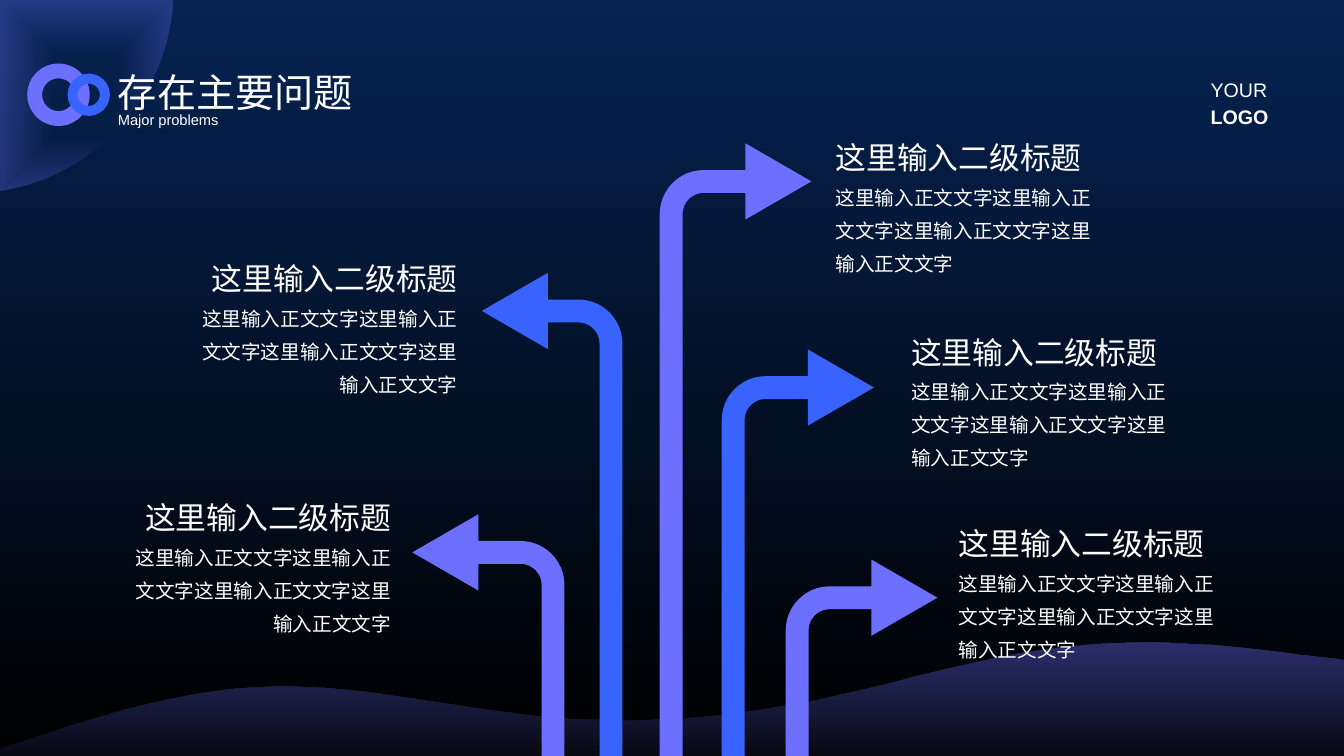
import math

import lxml.etree
import pptx
import pptx.dml.color
import pptx.enum.shapes
import pptx.enum.text
import pptx.oxml.ns
import pptx.util

# The slide is a grid of 133.33 columns by 75 rows, each cell a tenth of an inch.
COLUMNS, ROWS = 133.33, 75
PURPLE, BLUE, WHITE = "6C6FFF", "3863FF", "FFFFFF"
HEADING = "这里输入二级标题"
BODY = "这里输入正文文字" * 4
LEFT, RIGHT = -1, 1


def cells(count):
    return pptx.util.Inches(count / 10)


def color(hex_value):
    return pptx.dml.color.RGBColor.from_string(hex_value)


def fill_solid(shape, hex_value):
    shape.fill.solid()
    shape.fill.fore_color.rgb = color(hex_value)
    shape.line.fill.background()
    shape.shadow.inherit = False


def fill_gradient(fill, stops):
    """Fill from top to bottom with two (position, colour, opacity) stops."""
    fill.gradient()
    fill.gradient_angle = 270
    for stop, (position, hex_value, opacity) in zip(fill.gradient_stops, stops):
        stop.position = position
        stop.color.rgb = color(hex_value)
    return [opacity for _, _, opacity in stops]


def fill_translucent(shape, stops):
    """Give a shape a gradient with opacity; return the gradient element."""
    opacities = fill_gradient(shape.fill, stops)
    shape.line.fill.background()
    shape.shadow.inherit = False
    gradient = shape.element.spPr.find(pptx.oxml.ns.qn("a:gradFill"))
    for stop_color, opacity in zip(gradient.iter(pptx.oxml.ns.qn("a:srgbClr")), opacities):
        alpha = lxml.etree.SubElement(stop_color, pptx.oxml.ns.qn("a:alpha"))
        alpha.set("val", str(int(opacity * 100000)))
    return gradient


def radiate_from_centre(gradient):
    gradient.remove(gradient.find(pptx.oxml.ns.qn("a:lin")))
    route = lxml.etree.SubElement(gradient, pptx.oxml.ns.qn("a:path"), path="shape")
    focus = lxml.etree.SubElement(route, pptx.oxml.ns.qn("a:fillToRect"))
    for side in "ltrb":
        focus.set(side, "50000")


def curve(start, control_1, control_2, end, steps=16):
    """Points along a cubic curve, without its start."""
    points = []
    for step in range(1, steps + 1):
        t = step / steps
        weights = ((1 - t) ** 3, 3 * t * (1 - t) ** 2, 3 * t * t * (1 - t), t ** 3)
        knots = (start, control_1, control_2, end)
        points.append(tuple(sum(w * knot[axis] for w, knot in zip(weights, knots))
                            for axis in (0, 1)))
    return points


def add_outline(shapes, points):
    corners = [(cells(x), cells(y)) for x, y in points]
    builder = shapes.build_freeform(*corners[0], scale=1.0)
    builder.add_line_segments(corners[1:], close=True)
    return builder.convert_to_shape()


def add_corner(shapes):
    start = (17.1, 1)
    points = [(0, 0), (17.1, 0), start]
    points += curve(start, (16.2, 9.8), (9.6, 17), (1.1, 18.7)) + [(0, 18.9)]
    corner = add_outline(shapes, points)
    radiate_from_centre(fill_translucent(corner, [(0.39, PURPLE, 0), (1, PURPLE, 0.31)]))
    return corner


def add_wave(shapes):
    points = [(COLUMNS, 65.5), (128.9, 65)]
    for span in (
        ((124.4, 64.4), (115.6, 63.2), (106.7, 64.1)),
        ((97.8, 64.9), (88.9, 67.9), (80, 69.6)),
        ((71.1, 71.3), (62.2, 71.9), (53.3, 71)),
        ((44.4, 70.1), (35.6, 67.9), (26.7, 68.1)),
        ((17.8, 68.4), (8.9, 71.3), (4.4, 72.8)),
    ):
        points += curve(points[-1], *span)
    points += [(0, 74.2), (0, 77.7), (COLUMNS, 77.7)]
    fill_translucent(add_outline(shapes, points), [(0, PURPLE, 0.4), (1, PURPLE, 0)])


def add_bent_arrow(shapes, direction, stem, tip, middle, hex_value):
    """Arrow rising from below the slide and turning left or right at row middle."""
    head_length, head_half, bar_half = 6.55, 3.78, 1.13
    outer, inner, bottom = 4.37, 2.1, 84
    neck = tip - direction * head_length
    centre_x, centre_y = stem + direction * outer, middle - bar_half + outer

    def bend(radius):
        angles = [math.radians(90 * step / 12) for step in range(13)]
        return [(centre_x - direction * radius * math.sin(angle),
                 centre_y - radius * math.cos(angle)) for angle in angles]

    points = [(neck, middle - head_half), (tip, middle), (neck, middle + head_half),
              (neck, middle + bar_half)]
    points += bend(inner)
    points += [(stem + direction * (outer - inner), bottom), (stem, bottom)]
    points += bend(outer)[::-1] + [(neck, middle - bar_half)]
    fill_solid(add_outline(shapes, points), hex_value)


def add_ring(shapes, left, top, size, hex_value):
    ring = shapes.add_shape(pptx.enum.shapes.MSO_SHAPE.DONUT,
                            cells(left), cells(top), cells(size), cells(size))
    ring.adjustments[0] = 0.237
    fill_solid(ring, hex_value)


def format_text(shape, text, size, align=pptx.enum.text.PP_ALIGN.LEFT,
                anchor=pptx.enum.text.MSO_ANCHOR.TOP, spacing=None):
    frame = shape.text_frame
    frame.text = text
    frame.word_wrap = True
    frame.auto_size = pptx.enum.text.MSO_AUTO_SIZE.SHAPE_TO_FIT_TEXT
    frame.vertical_anchor = anchor
    frame.margin_left = frame.margin_right = frame.margin_top = frame.margin_bottom = 0
    for paragraph in frame.paragraphs:
        paragraph.alignment = align
        paragraph.line_spacing = spacing
        for run in paragraph.runs:
            run.font.name = "Arial"
            run.font.size = pptx.util.Pt(size)
            run.font.color.rgb = color(WHITE)


def add_text(shapes, left, top, width, height, text, size, **style):
    box = shapes.add_textbox(cells(left), cells(top), cells(width), cells(height))
    format_text(box, text, size, **style)
    return box


def add_problem(shapes, direction, edge, top):
    """Heading and body that share the edge facing their arrow."""
    align = pptx.enum.text.PP_ALIGN.LEFT
    heading_width, body_width = 33.3, 25.7
    if direction == LEFT:
        align = pptx.enum.text.PP_ALIGN.RIGHT
        heading_width, body_width = 34.4, 26.3
    for text, size, width, offset, height, spacing in (
        (HEADING, 22, heading_width, 0, 3.7, None),
        (BODY, 14, body_width, 3.7, 9.9, 1.4),
    ):
        left = edge if direction == RIGHT else edge - width
        add_text(shapes, left, top + offset, width, height, text, size,
                 align=align, spacing=spacing)


def main():
    presentation = pptx.Presentation()
    presentation.slide_width, presentation.slide_height = cells(COLUMNS), cells(ROWS)
    slide = presentation.slides.add_slide(presentation.slide_layouts[5])
    shapes = slide.shapes
    fill_gradient(slide.background.fill, [(0, "062352", 1), (1, "000000", 1)])

    corner = add_corner(shapes)
    title = shapes.title
    corner.element.addnext(title.element)
    title.left, title.top = cells(11.7), cells(6.8)
    title.width, title.height = cells(31), cells(4.7)
    middle = pptx.enum.text.MSO_ANCHOR.MIDDLE
    format_text(title, "存在主要问题", 28, anchor=middle)
    add_text(shapes, 11.7, 11, 31, 1.8, "Major problems", 10.5, anchor=middle)
    add_ring(shapes, 2.7, 6.3, 6.2, PURPLE)
    add_ring(shapes, 6.7, 7.3, 4.2, BLUE)
    add_wave(shapes)

    arrows = shapes.add_group_shape().shapes
    for direction, stem, tip, row, hex_value, edge, top in (
        (RIGHT, 77.95, 93, 59.3, PURPLE, 95.1, 52.1),
        (RIGHT, 71.6, 86.7, 38.45, BLUE, 90.4, 33.1),
        (RIGHT, 65.45, 80.5, 18, PURPLE, 82.9, 13.8),
        (LEFT, 56, 40.9, 54.8, PURPLE, 38.8, 49.5),
        (LEFT, 61.75, 47.8, 30.85, BLUE, 45.4, 25.8),
    ):
        add_bent_arrow(arrows, direction, stem, tip, row, hex_value)
        add_problem(shapes, direction, edge, top)

    label = add_text(shapes, 120.1, 7.4, 8, 5.4, "YOUR\nLOGO", 14,
                     spacing=pptx.util.Pt(19.4))
    label.text_frame.paragraphs[1].runs[0].font.bold = True
    presentation.save("out.pptx")


if __name__ == "__main__":
    main()
